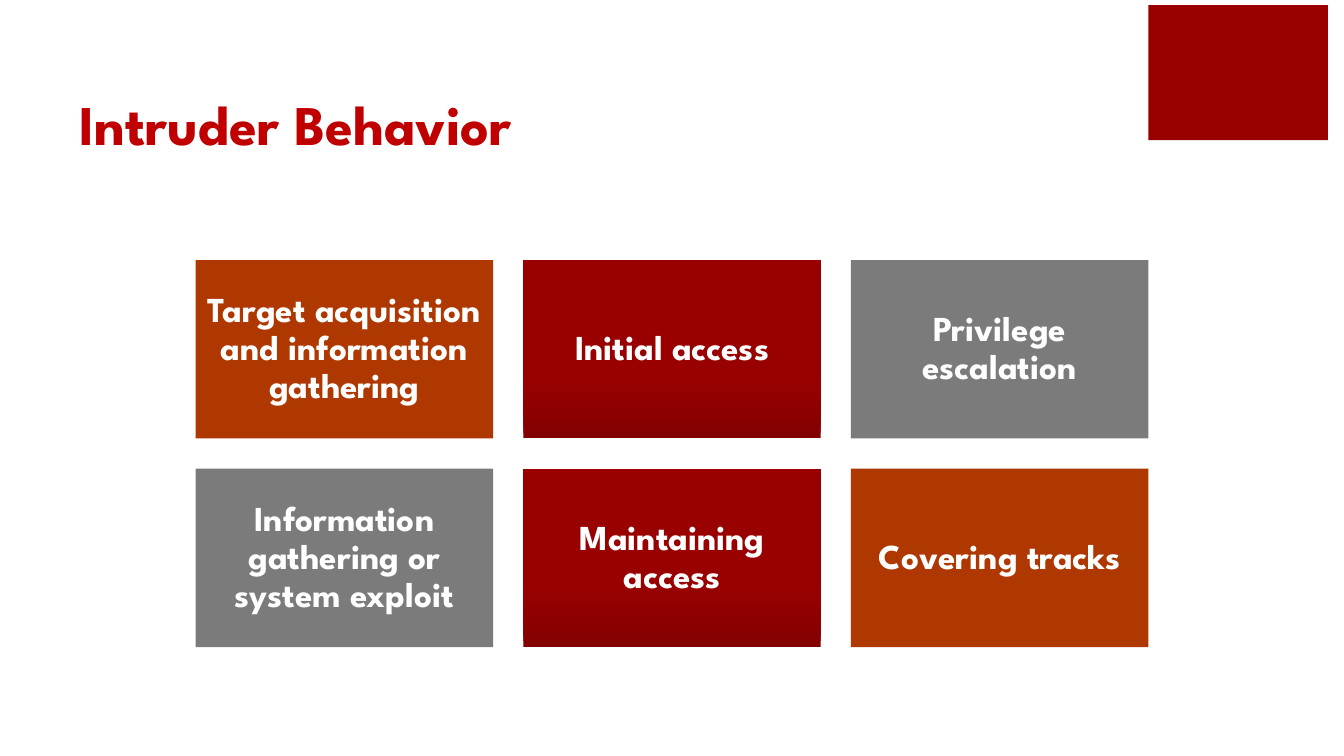
import pptx
import pptx.dml.color
import pptx.enum.shapes
import pptx.enum.text
import pptx.util
from dataclasses import dataclass

Inches = pptx.util.Inches
ALIGN = pptx.enum.text.PP_ALIGN
ANCHOR = pptx.enum.text.MSO_ANCHOR


@dataclass(frozen=True)
class Theme:
    font: str = "League Spartan"
    title: str = "C00000"
    red: str = "990000"
    dark_red: str = "830000"
    orange: str = "AF3700"
    gray: str = "7B7B7B"
    white: str = "FFFFFF"
    title_size: int = 40
    tile_size: int = 25


THEME = Theme()

# Tile grid: text and fill, row by row
TILES = [
    [("Target acquisition and information gathering", THEME.orange),
     ("Initial access", THEME.red),
     ("Privilege escalation", THEME.gray)],
    [("Information gathering or system exploit", THEME.gray),
     ("Maintaining access", THEME.red),
     ("Covering tracks", THEME.orange)],
]
GRID_LEFT, GRID_TOP = 1.94, 2.58
TILE_W, TILE_H, GAP = 2.95, 1.77, 0.3


def rgb(color):
    return pptx.dml.color.RGBColor.from_string(color)


def write_text(sp, text, *, size, color, align, anchor, margin_y=0.05):
    tf = sp.text_frame
    tf.auto_size = pptx.enum.text.MSO_AUTO_SIZE.NONE
    tf.word_wrap = True
    tf.vertical_anchor = anchor
    tf.margin_left = tf.margin_right = Inches(0.1)
    tf.margin_top = tf.margin_bottom = Inches(margin_y)
    p = tf.paragraphs[0]
    p.alignment = align
    p.line_spacing = 0.9
    r = p.add_run()
    r.text = text
    r.font.name = THEME.font
    r.font.size = pptx.util.Pt(size)
    r.font.bold = True
    r.font.color.rgb = rgb(color)


def add_title(slide, text):
    sp = slide.shapes.title
    sp.left, sp.top = Inches(0.69), Inches(0.36)
    sp.width, sp.height = Inches(10.41), Inches(1.25)
    write_text(sp, text, size=THEME.title_size, color=THEME.title,
               align=ALIGN.LEFT, anchor=ANCHOR.BOTTOM)


def add_box(slide, left, top, width, height, color):
    sp = slide.shapes.add_shape(
        pptx.enum.shapes.MSO_SHAPE.RECTANGLE,
        Inches(left), Inches(top), Inches(width), Inches(height))
    sp.shadow.inherit = False
    sp.line.fill.background()
    sp.fill.solid()
    sp.fill.fore_color.rgb = rgb(color)
    return sp


def shade_bottom(sp):
    """Fade from dark red at the bottom edge up to plain red."""
    sp.fill.gradient()
    sp.fill.gradient_angle = 90
    stops = [(0, THEME.dark_red), (0.35, THEME.red)]
    for stop, (position, color) in zip(sp.fill.gradient_stops, stops):
        stop.position = position
        stop.color.rgb = rgb(color)


def add_tile(slide, row, col, text, color):
    sp = add_box(slide, GRID_LEFT + col * (TILE_W + GAP),
                 GRID_TOP + row * (TILE_H + GAP), TILE_W, TILE_H, color)
    if color == THEME.red:
        shade_bottom(sp)
    write_text(sp, text, size=THEME.tile_size, color=THEME.white,
               align=ALIGN.CENTER, anchor=ANCHOR.MIDDLE, margin_y=0.1)


def main():
    prs = pptx.Presentation()
    prs.slide_width, prs.slide_height = Inches(13.33), Inches(7.5)
    slide = prs.slides.add_slide(prs.slide_layouts.get_by_name("Title Only"))

    # Corner block and heading
    add_box(slide, 11.39, 0.05, 1.78, 1.34, THEME.red)
    add_title(slide, "Intruder Behavior")

    # Behavior tiles
    for row, tiles in enumerate(TILES):
        for col, (text, color) in enumerate(tiles):
            add_tile(slide, row, col, text, color)

    prs.save("out.pptx")


if __name__ == "__main__":
    main()
